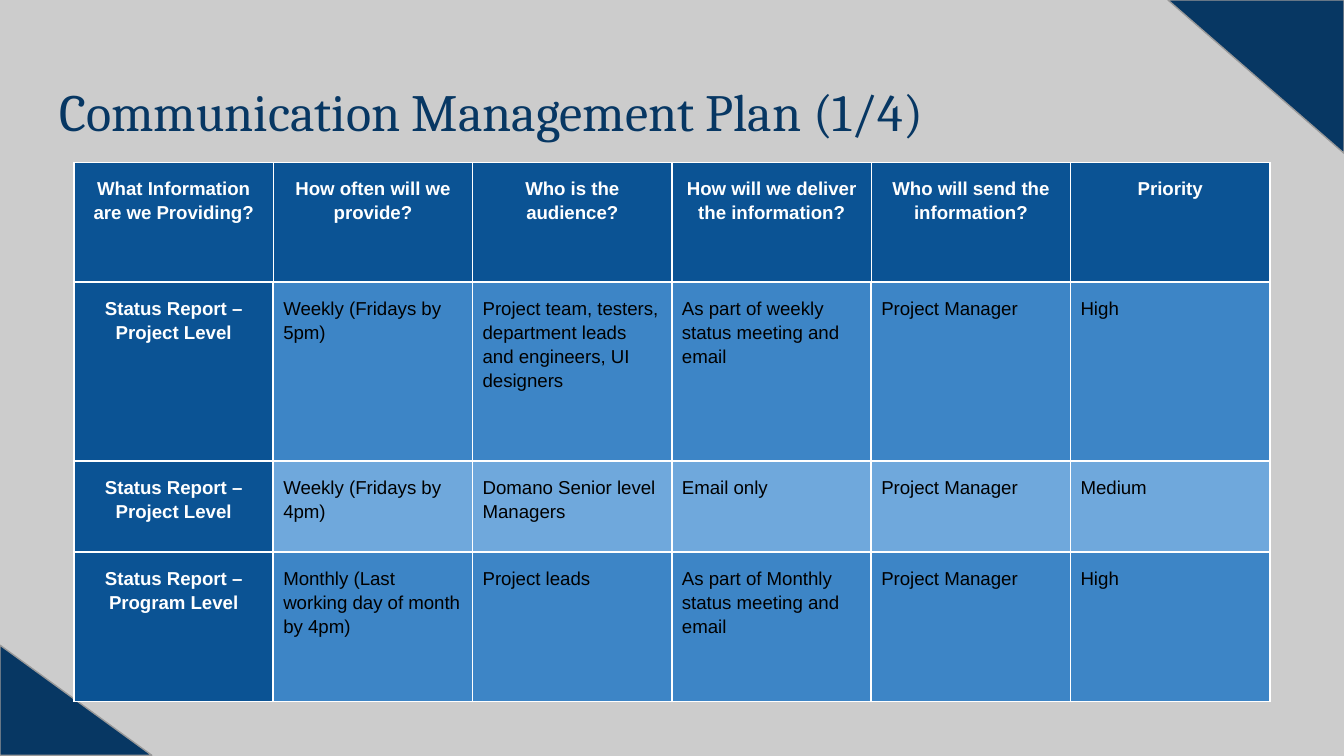
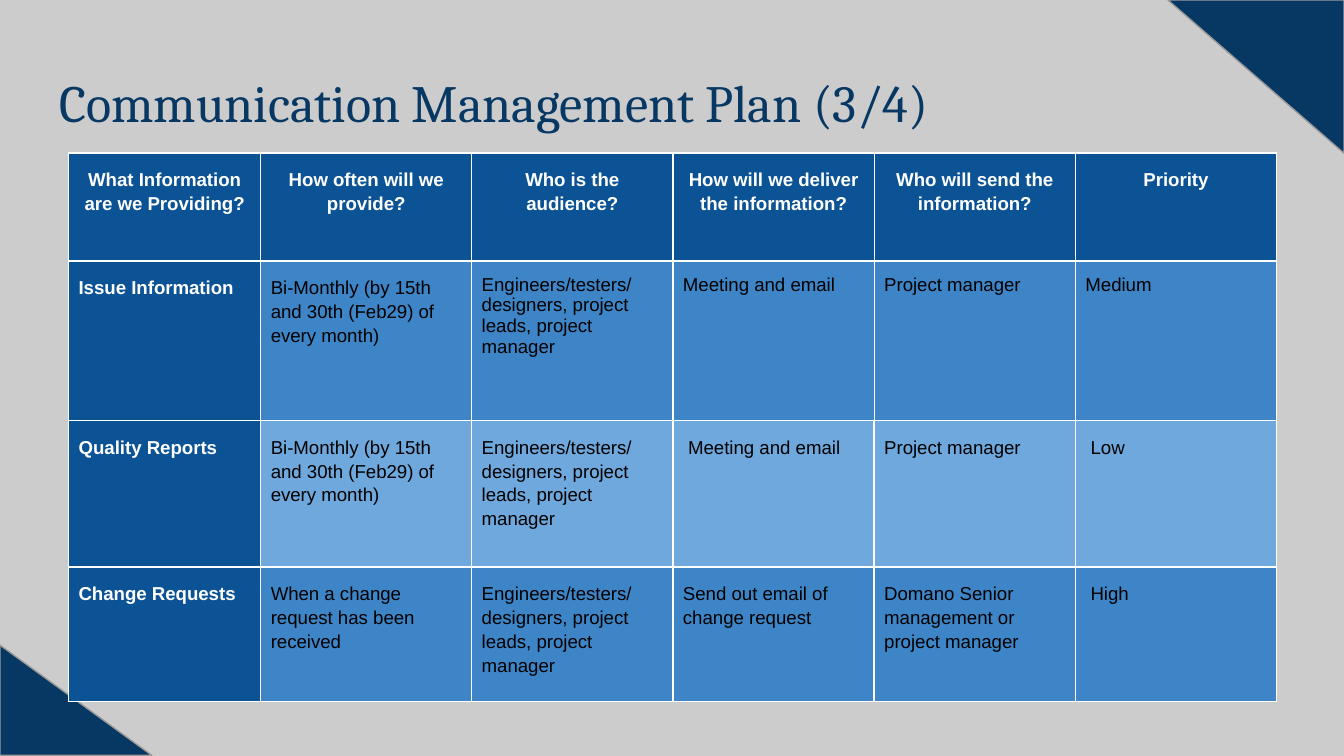
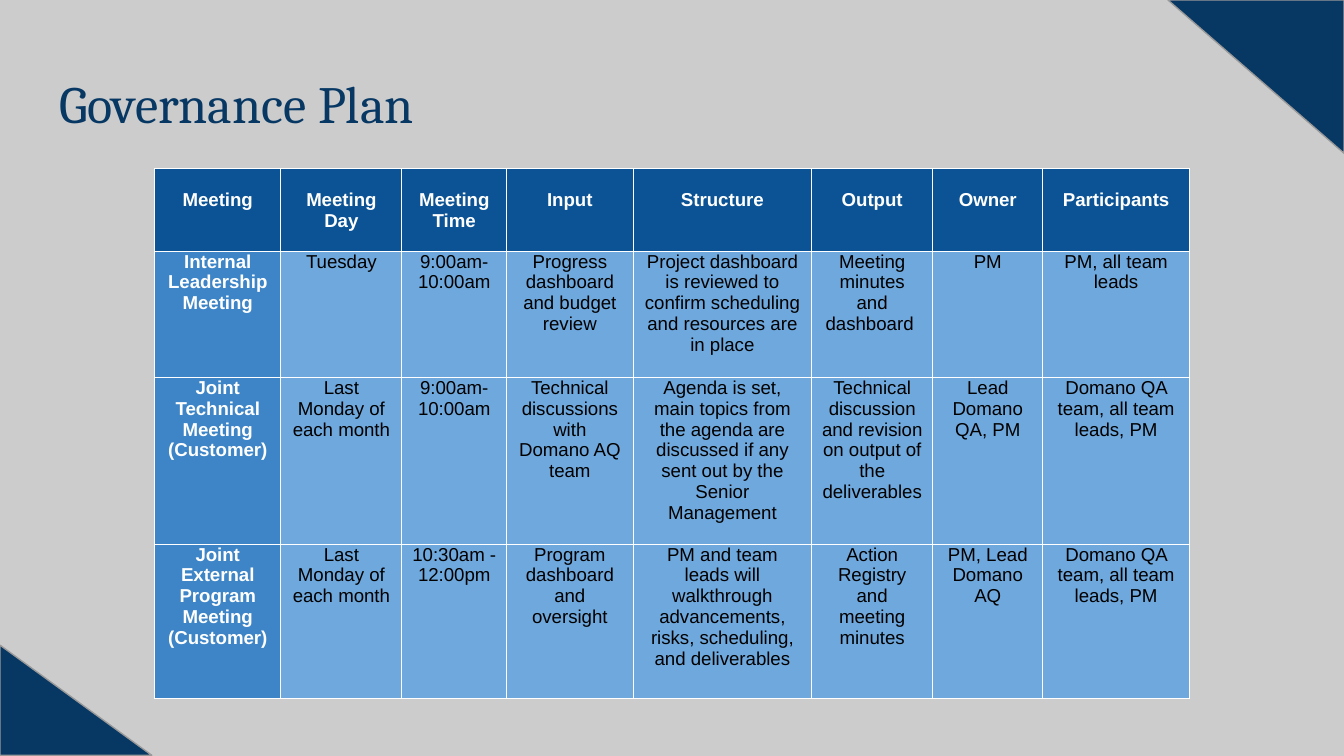
from pptx import Presentation
from pptx.dml.color import RGBColor
from pptx.enum import shapes, text
from pptx.oxml import parse_xml
from pptx.oxml.ns import nsdecls
from pptx.util import Inches, Pt

NAVY, DEEP, MID, PALE = "073763", "0B5394", "3D85C6", "6FA8DC"
GREY, EDGE, WHITE, BLACK = "CCCCCC", "999999", "FFFFFF", "000000"
LEFT, MIDDLE = text.PP_ALIGN.LEFT, text.PP_ALIGN.CENTER


def paint(fill, color):
    fill.solid()
    fill.fore_color.rgb = RGBColor.from_string(color)


def border(cell, widths):
    """Draw white lines; widths are points for left, right, top, bottom."""
    props = cell._tc.get_or_add_tcPr()
    for side, width in zip("LRTB", widths):
        props.append(parse_xml(
            f'<a:ln{side} {nsdecls("a")} w="{Pt(width)}"><a:solidFill>'
            f'<a:srgbClr val="{WHITE}"/></a:solidFill></a:ln{side}>'))


HEADS = ["What Information are we Providing?", "How often will we provide?",
         "Who is the audience?", "How will we deliver the information?",
         "Who will send the information?", "Priority"]
MONTHLY = "Bi-Monthly (by 15th and 30th (Feb29) of every month)"
CREW = "Engineers/testers/designers, project leads, project manager"
GUESTS = "Domano QA team, all team leads, PM"

# "soft" maps a row to the column after which its inner upright lines are thin.
# "tight" holds the row and first column of cells with single line spacing.
PLANS = [
    dict(title="Communication Management Plan (1/4)", top=0.49, at=(0.55, 1.21),
         cols=[8.9 / 6] * 6, rows=[0.89, 1.33, 0.68, 1.11],
         side=DEEP, body=[MID, PALE, MID], aligns=(MIDDLE, LEFT), pads=(0.1, 0.1),
         line=1, soft={0: 0}, space=1.15, tight=None,
         cells=[
             HEADS,
             ["Status Report – Project Level", "Weekly (Fridays by 5pm)",
              "Project team, testers, department leads and engineers, UI designers",
              "As part of weekly status meeting and email", "Project Manager", "High"],
             ["Status Report – Project Level", "Weekly (Fridays by 4pm)",
              "Domano Senior level Managers", "Email only", "Project Manager", "Medium"],
             ["Status Report – Program Level",
              "Monthly (Last working day of month by 4pm)", "Project leads",
              "As part of Monthly status meeting and email", "Project Manager", "High"],
         ]),
    dict(title="Communication Management Plan (3/4)", top=0.42, at=(0.51, 1.14),
         cols=[1.43, 1.57] + [5.99 / 4] * 4, rows=[0.8, 1.19, 1.09, 1],
         side=DEEP, body=[MID, PALE, MID], aligns=(LEFT, LEFT), pads=(0.1, 0.1),
         line=1, soft={0: 0, 1: 1}, space=1.15, tight=(1, 2),
         cells=[
             HEADS,
             ["Issue Information", MONTHLY, CREW, "Meeting and email",
              "Project manager", "Medium"],
             ["Quality Reports", MONTHLY, CREW, " Meeting and email",
              "Project manager", " Low"],
             ["Change Requests", "When a change request has been received", CREW,
              "Send out email of change request",
              "Domano Senior management or project manager", " High"],
         ]),
    dict(title="Governance Plan", top=0.43, at=(1.15, 1.25),
         cols=[0.94, 0.9, 0.78, 0.94, 1.33, 0.9, 0.82, 1.09],
         rows=[0.62, 0.94, 1.24, 1.15],
         side=MID, body=[PALE] * 3, aligns=(MIDDLE, MIDDLE), pads=(0.16, 0),
         line=0.5, soft={}, space=1, tight=None,
         cells=[
             ["Meeting", "Meeting Day", "Meeting Time", "Input", "Structure",
              "Output", "Owner", "Participants"],
             ["Internal Leadership Meeting", "Tuesday", "9:00am-\n10:00am",
              "Progress dashboard and budget review",
              "Project dashboard is reviewed to confirm scheduling and resources "
              "are in place",
              "Meeting minutes and dashboard ", "PM", "PM, all team leads"],
             ["Joint Technical Meeting (Customer)", "Last Monday of each month",
              "9:00am-\n10:00am", "Technical discussions with Domano AQ team",
              "Agenda is set, main topics from the agenda are discussed if any "
              "sent out by the Senior Management",
              "Technical discussion and revision on output of the deliverables",
              "Lead Domano QA, PM", GUESTS],
             ["Joint External Program Meeting (Customer)",
              "Last Monday of each month", "10:30am - 12:00pm",
              "Program dashboard and oversight",
              "PM and team leads will walkthrough advancements, risks, scheduling, "
              "and deliverables",
              "Action Registry and meeting minutes", "PM, Lead Domano AQ", GUESTS],
         ]),
]
CORNERS = [((0, 4.8, 1.13, 0.82), 0), ((8.69, 0, 1.31, 1.14), 180)]

prs = Presentation()
prs.slide_width = Inches(10)
prs.slide_height = prs.slide_width * 9 // 16

for plan in PLANS:
    slide = prs.slides.add_slide(prs.slide_layouts[5])
    paint(slide.background.fill, GREY)

    for box, turn in CORNERS:
        corner = slide.shapes.add_shape(
            shapes.MSO_SHAPE.RIGHT_TRIANGLE, *map(Inches, box))
        corner.rotation = turn
        corner.shadow.inherit = False
        paint(corner.fill, NAVY)
        paint(corner.line.fill, EDGE)
        corner.line.width = Pt(0.75)

    title = slide.shapes.title
    title.left, title.top = Inches(0.34), Inches(plan["top"])
    title.width, title.height = Inches(9.32), Inches(0.63)
    frame = title.text_frame
    frame.text = plan["title"]
    frame.word_wrap = True
    frame.auto_size = text.MSO_AUTO_SIZE.NONE
    frame.vertical_anchor = text.MSO_ANCHOR.TOP
    frame.margin_left = frame.margin_right = Inches(0.1)
    frame.margin_top = frame.margin_bottom = Inches(0.1)
    frame.paragraphs[0].alignment = LEFT
    font = frame.paragraphs[0].runs[0].font
    font.name, font.size = "Cambria", Pt(28)
    paint(font.fill, NAVY)

    cols, rows = plan["cols"], plan["rows"]
    size = Inches(sum(cols)), Inches(sum(rows))
    table = slide.shapes.add_table(
        len(rows), len(cols), *map(Inches, plan["at"]), *size).table
    table.first_row = table.horz_banding = False
    for col, width in zip(table.columns, cols):
        col.width = Inches(width)
    for row, height in zip(table.rows, rows):
        row.height = Inches(height)

    last = len(cols) - 1
    for r, words in enumerate(plan["cells"]):
        start = plan["soft"].get(r, last)
        for c, word in enumerate(words):
            cell = table.cell(r, c)
            cell.text = word
            cell.margin_left = cell.margin_right = Pt(5.4)
            cell.margin_top = Inches(plan["pads"][r > 0])
            cell.margin_bottom = Inches(plan["pads"][1])
            line = plan["line"]
            border(cell, (0.75 if c > start else line,
                          0.75 if start <= c < last else line, line, line))
            if r == 0:
                color, align = DEEP, MIDDLE
            elif c == 0:
                color, align = plan["side"], plan["aligns"][0]
            else:
                color, align = plan["body"][r - 1], plan["aligns"][1]
            paint(cell.fill, color)

            tight = plan["tight"] and r == plan["tight"][0] and c >= plan["tight"][1]
            strong = r == 0 or c == 0
            for para in cell.text_frame.paragraphs:
                para.alignment = align
                para.line_spacing = 1.0 if tight else plan["space"]
                font = para.runs[0].font
                font.name, font.size, font.bold = "Arial", Pt(10), strong
                paint(font.fill, WHITE if strong else BLACK)

prs.save("out.pptx")
